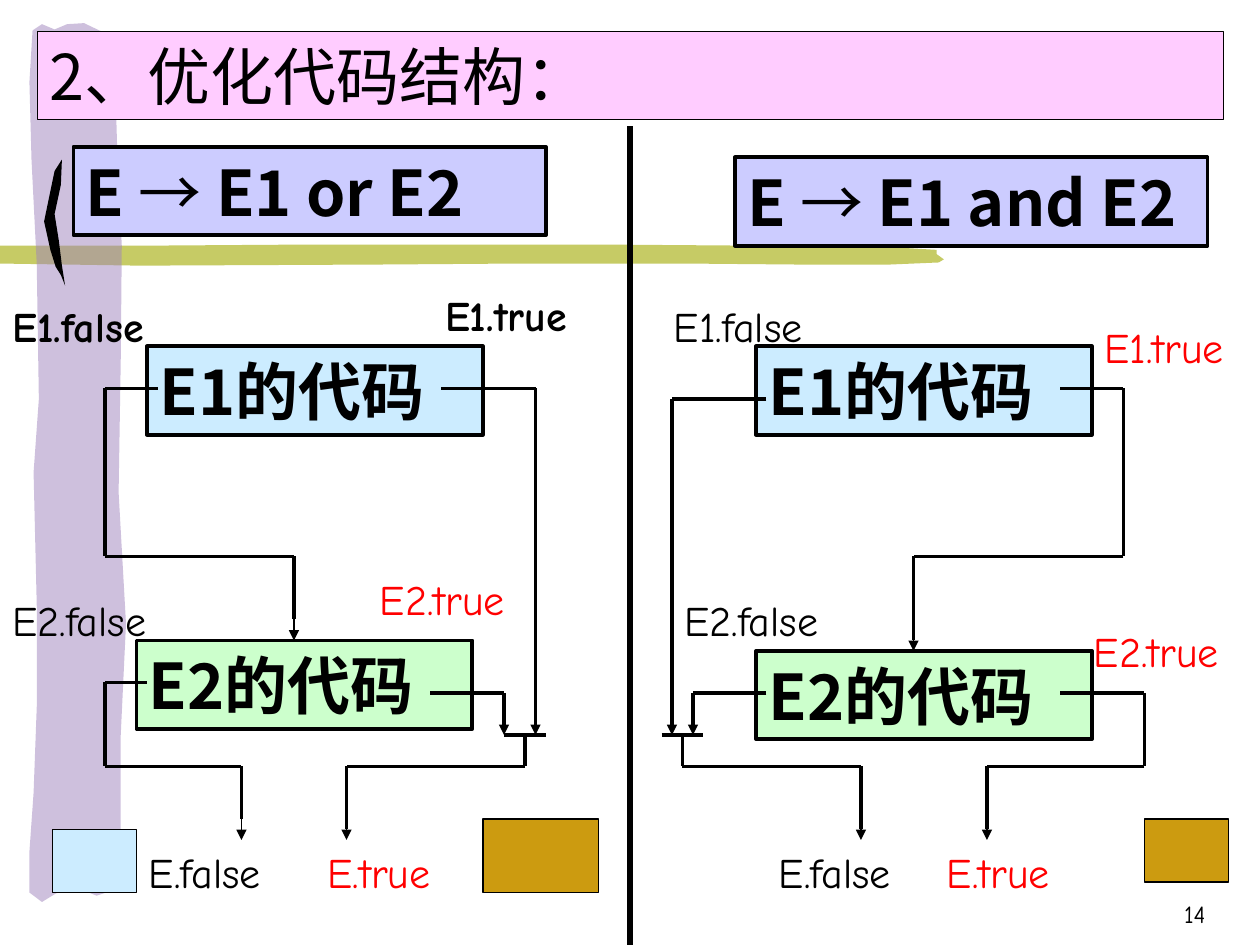
from itertools import pairwise
from lxml import etree
from pptx import Presentation
from pptx import util as u
from pptx.dml.color import RGBColor
from pptx.enum import shapes as sh, text as tx
from pptx.oxml.ns import qn

PX = 7620  # 120 px to the inch
BLACK = RGBColor(0, 0, 0)
RED = RGBColor(0xFF, 0, 0)
PINK = RGBColor(0xFF, 0xCC, 0xFF)
LILAC = RGBColor(0xCC, 0xCC, 0xFF)
SKY = RGBColor(0xCC, 0xEC, 0xFF)
MINT = RGBColor(0xCC, 0xFF, 0xCC)
GOLD = RGBColor(0xCC, 0x9B, 0x10)
OLIVE = RGBColor(0xC6, 0xCB, 0x65)
PLUM = RGBColor(0x9F, 0x83, 0xBD)
SANS, COMIC = "Noto Sans CJK JP", "Comic Neue"

prs = Presentation()
prs.slide_width, prs.slide_height = 1200 * PX, 900 * PX
slide = prs.slides.add_slide(prs.slide_layouts[5])
parts = slide.shapes


def write(shape, runs, face, size, color=BLACK, anchor=tx.MSO_ANCHOR.TOP,
          align=tx.PP_ALIGN.LEFT):
    """Fill a shape with one paragraph of (wording, bold) runs."""
    frame = shape.text_frame
    form = {"word_wrap": True, "auto_size": tx.MSO_AUTO_SIZE.NONE,
            "vertical_anchor": anchor}
    for key, val in form.items():
        setattr(frame, key, val)
    para = frame.paragraphs[0]
    para.alignment = align
    for words, bold in runs:
        run = para.add_run()
        run.text = words
        form = {"name": face, "size": u.Pt(size), "bold": bold}
        for key, val in form.items():
            setattr(run.font, key, val)
        run.font.color.rgb = color
        east = etree.SubElement(run.font._element, qn("a:ea"))
        east.set("typeface", face)


def rule(x1, y1, x2, y2, width=2.25, head=False):
    """Draw a straight line, with an arrowhead if asked."""
    line = parts.add_connector(sh.MSO_CONNECTOR.STRAIGHT,
                               x1 * PX, y1 * PX, x2 * PX, y2 * PX)
    line.line.width = u.Pt(width)
    line.line.color.rgb = BLACK
    if head:
        etree.SubElement(line.line._get_or_add_ln(), qn("a:tailEnd"), type="triangle")
    etree.SubElement(line.element.spPr, qn("a:effectLst"))


# Brush strokes behind everything
strokes = [
    (OLIVE, None, [
        (721, 234), (842, 235), (892, 238), (892, 242), (899, 247), (894, 250),
        (847, 252), (762, 252), (649, 251), (497, 251), (358, 252), (133, 253),
        (-2, 251), (-4, 234), (133, 234), (278, 233), (469, 233), (587, 233)]),
    (PLUM, 50000, [
        (35, 673), (35, 577), (32, 450), (37, 380), (35, 252), (30, 152),
        (28, 78), (31, 29), (40, 23), (52, 28), (64, 23), (80, 22), (101, 32),
        (110, 49), (110, 85), (112, 155), (116, 234), (115, 343), (113, 469),
        (120, 594), (115, 700), (115, 828), (110, 847), (92, 853), (72, 845),
        (53, 851), (40, 859), (28, 850), (28, 811), (32, 755)]),
    (BLACK, None, [
        (59, 152), (58, 176), (52, 204), (56, 229), (59, 253), (62, 272),
        (58, 262), (53, 254), (48, 238), (42, 211), (47, 187), (52, 163)]),
]
for color, alpha, dots in strokes:
    pen = parts.build_freeform(*dots[0], scale=PX)
    pen.add_line_segments(dots[1:], close=True)
    brush = pen.convert_to_shape()
    brush.shadow.inherit = False
    brush.fill.solid()
    brush.fill.fore_color.rgb = color
    brush.line.fill.background()
    if alpha:
        tint = brush.element.spPr.find(".//" + qn("a:srgbClr"))
        etree.SubElement(tint, qn("a:alpha"), val=str(alpha))

# Title bar, in front of the strokes
title = parts.title
parts.element.append(title.element)
place = {"left": 35, "top": 30, "width": 1130, "height": 84}
for key, val in place.items():
    setattr(title, key, val * PX)
title.fill.solid()
title.fill.fore_color.rgb = PINK
title.line.color.rgb = BLACK
title.line.width = u.Pt(0.25)
write(title, [("2、优化代码结构：", False)], SANS, 36, anchor=tx.MSO_ANCHOR.MIDDLE)

# Rule and code boxes
boxes = [
    (70, 140, 450, LILAC, [("E ", True), ("→", False), (" E1 or E2", True)]),
    (140, 330, 320, SKY, [("E1的代码", True)]),
    (130, 610, 320, MINT, [("E2的代码", True)]),
    (700, 150, 450, LILAC, [("E ", True), ("→", False), (" E1 and E2", True)]),
    (720, 330, 320, SKY, [("E1的代码", True)]),
    (720, 620, 320, MINT, [("E2的代码", True)]),
]
for x, y, w, color, runs in boxes:
    box = parts.add_shape(sh.MSO_SHAPE.RECTANGLE, x * PX, y * PX, w * PX, 84 * PX)
    box.shadow.inherit = False
    box.fill.solid()
    box.fill.fore_color.rgb = color
    box.line.color.rgb = BLACK
    box.line.width = u.Pt(2.25)
    write(box, runs, SANS, 36, anchor=tx.MSO_ANCHOR.MIDDLE)

# Jump routes, left half then right half
routes = [
    [(420, 370), (510, 370), (510, 690)],
    [(410, 660), (480, 660), (480, 690)],
    [(480, 700), (520, 700)],
    [(500, 700), (500, 730), (330, 730), (330, 790)],
    [(150, 370), (100, 370), (100, 530), (280, 530), (280, 590)],
    [(140, 650), (100, 650), (100, 730), (230, 730), (230, 780)],
    [(1010, 370), (1070, 370), (1070, 530), (870, 530), (870, 610)],
    [(1010, 660), (1090, 660), (1090, 730), (940, 730), (940, 790)],
    [(730, 380), (640, 380), (640, 690)],
    [(730, 660), (660, 660), (660, 690)],
    [(630, 700), (670, 700)],
    [(650, 700), (650, 730), (820, 730), (820, 790)],
]
for route in routes:
    for start, end in pairwise(route):
        rule(*start, *end)

# Arrow tips
tips = [(510, 680, 700), (480, 680, 700), (330, 780, 800), (280, 580, 610),
        (230, 770, 800), (870, 600, 620), (940, 780, 800), (640, 680, 700),
        (660, 680, 700), (820, 780, 800)]
for x, top, tip in tips:
    rule(x, top, x, tip, 0.75, True)

# Divider
rule(600, 120, 600, 900, 3)

# Exit labels
labels = [
    (0, 280, 203, "E1.false", BLACK, True),
    (412, 270, 188, "E1.true", BLACK, True),
    (0, 560, 180, "E2.false", BLACK, False),
    (350, 540, 180, "E2.true", RED, False),
    (130, 800, 180, "E.false", BLACK, False),
    (300, 800, 180, "E.true", RED, False),
    (630, 280, 180, "E1.false", BLACK, False),
    (1040, 300, 160, "E1.true", RED, False),
    (640, 560, 180, "E2.false", BLACK, False),
    (1030, 590, 180, "E2.true", RED, False),
    (730, 800, 180, "E.false", BLACK, False),
    (890, 800, 160, "E.true", RED, False),
]
for x, y, w, words, color, bold in labels:
    label = parts.add_textbox(x * PX, y * PX, w * PX, 60 * PX)
    write(label, [(words, bold)], COMIC, 24, color)

# Blank buttons
for x, y, w, h, color in [(460, 780, 110, 70, GOLD), (50, 790, 80, 60, SKY),
                          (1090, 780, 80, 60, GOLD)]:
    key = parts.add_shape(sh.MSO_SHAPE.ACTION_BUTTON_CUSTOM,
                          x * PX, y * PX, w * PX, h * PX)
    key.shadow.inherit = False
    key.fill.solid()
    key.fill.fore_color.rgb = color
    key.line.color.rgb = BLACK
    key.line.width = u.Pt(0.75)

# Page number
page = parts.add_textbox(910 * PX, 830 * PX, 250 * PX, 60 * PX)
write(page, [("14", False)], COMIC, 14, anchor=tx.MSO_ANCHOR.BOTTOM,
      align=tx.PP_ALIGN.RIGHT)

prs.save("out.pptx")
